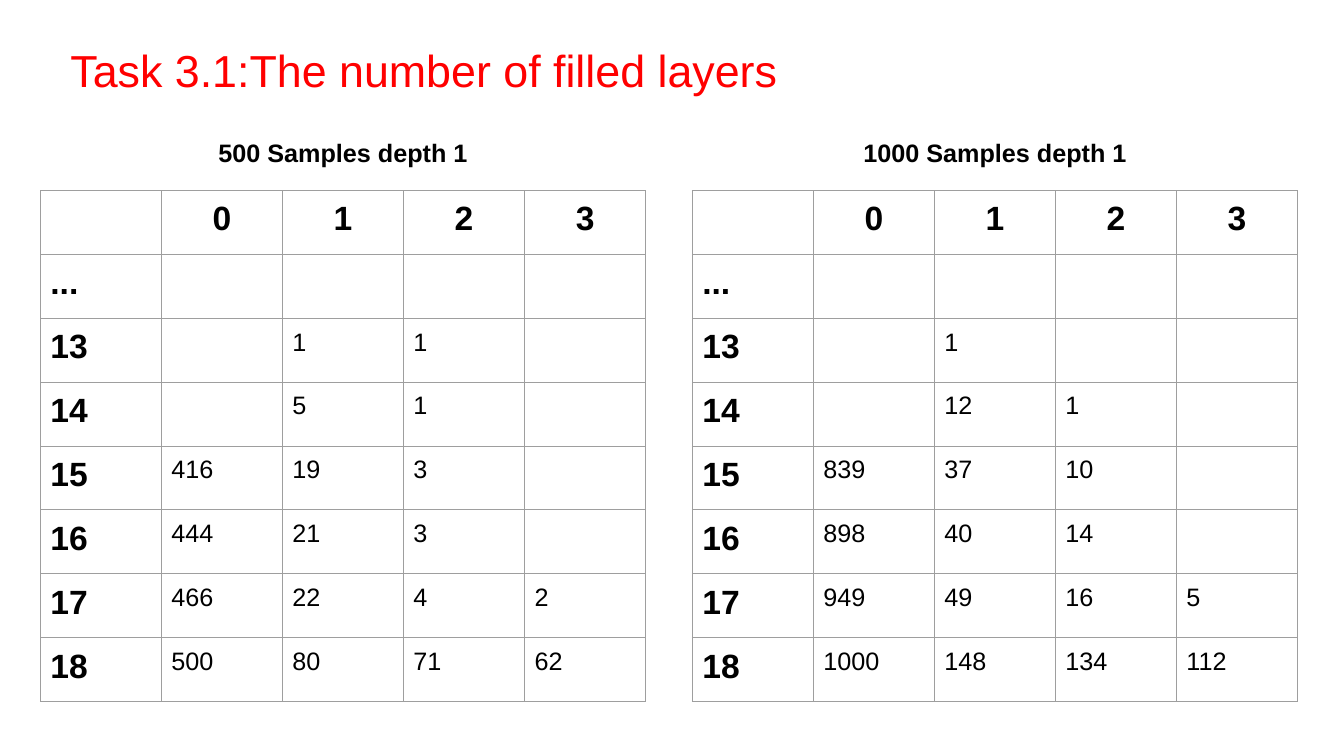
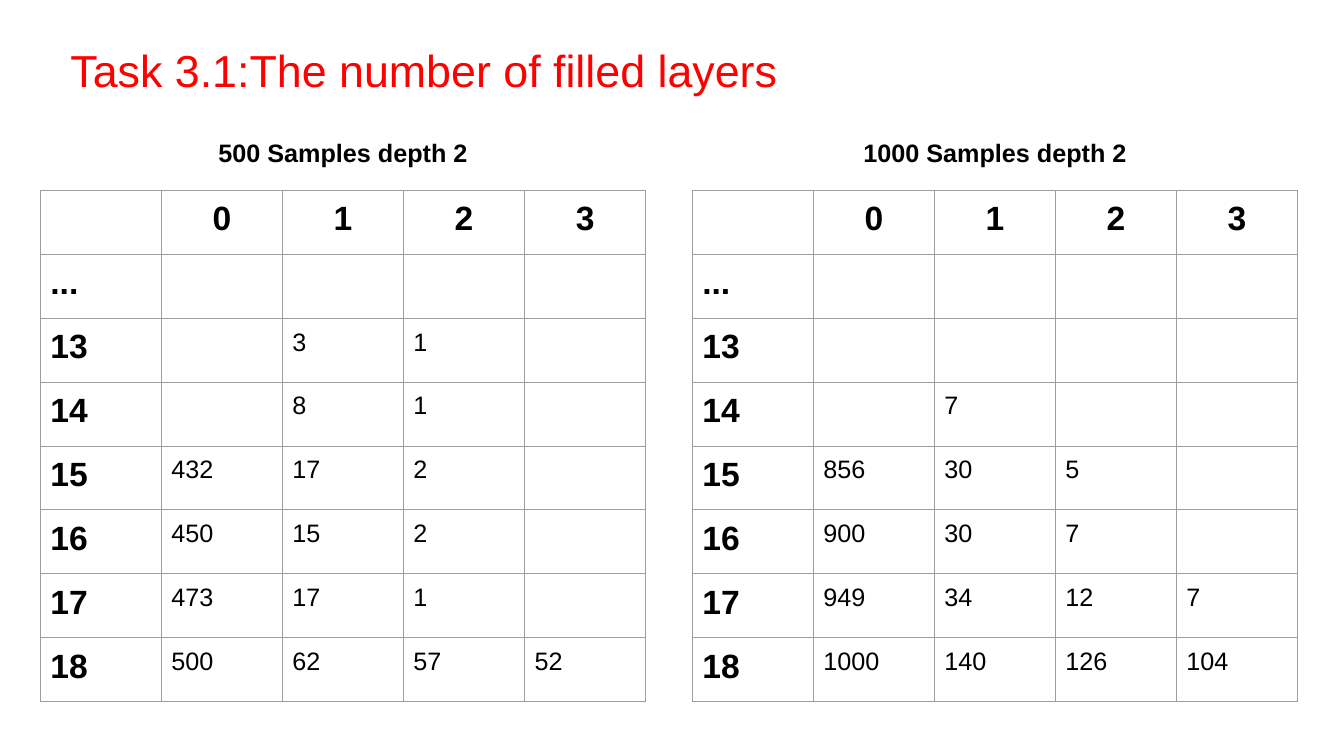
import lxml.etree
import pptx
import pptx.dml.color
import pptx.enum.text
import pptx.oxml.ns
import pptx.util

Cm = pptx.util.Cm
Pt = pptx.util.Pt
RGBColor = pptx.dml.color.RGBColor
ALIGN = pptx.enum.text.PP_ALIGN
ANCHOR = pptx.enum.text.MSO_ANCHOR
qn = pptx.oxml.ns.qn

RED = RGBColor(0xFF, 0x00, 0x00)
BLACK = RGBColor(0x00, 0x00, 0x00)
GREY = RGBColor(0x9E, 0x9E, 0x9E)

TITLE = "Task 3.1:The number of filled layers"
COLUMN_HEADS = ["", "0", "1", "2", "3"]
ROW_HEADS = ["...", "13", "14", "15", "16", "17", "18"]
TABLE_LEFTS = [Cm(1.02), Cm(17.45)]

# Filled layers per depth: (samples, one list of values per row head)
DEPTHS = {
    1: [
        (500, [[], ["", 1, 1], ["", 5, 1], [416, 19, 3], [444, 21, 3],
               [466, 22, 4, 2], [500, 80, 71, 62]]),
        (1000, [[], ["", 1], ["", 12, 1], [839, 37, 10], [898, 40, 14],
                [949, 49, 16, 5], [1000, 148, 134, 112]]),
    ],
    2: [
        (500, [[], ["", 3, 1], ["", 8, 1], [432, 17, 2], [450, 15, 2],
               [473, 17, 1], [500, 62, 57, 52]]),
        (1000, [[], [], ["", 7], [856, 30, 5], [900, 30, 7],
                [949, 34, 12, 7], [1000, 140, 126, 104]]),
    ],
}


class SlideBuilder:
    font = "Arial"
    padding = Cm(0.25)
    column_width = Cm(3.05)
    row_height = Cm(1.61)
    table_top = Cm(4.8)
    caption_top = Cm(3.2)
    caption_height = Cm(1.27)

    def __init__(self, deck):
        self.deck = deck
        self.slide = None

    def new_slide(self, title):
        self.slide = self.deck.slides.add_slide(self.deck.slide_layouts[5])
        box = self.slide.shapes.title
        box.left, box.top, box.width, box.height = Cm(1.52), Cm(0.84), Cm(31.42), Cm(2.54)
        frame = box.text_frame
        self.set_text(frame, title, 32, color=RED)
        frame.vertical_anchor = ANCHOR.MIDDLE
        frame.auto_size = pptx.enum.text.MSO_AUTO_SIZE.NONE
        # The deeper bottom margin lifts the title above the middle of its box
        frame.margin_top, frame.margin_bottom = Cm(0.13), Cm(0.86)

    def set_text(self, frame, text, size, color=BLACK, bold=False, align=ALIGN.LEFT):
        frame.text = text
        para = frame.paragraphs[0]
        para.alignment = align
        for span in para.runs:
            span.font.name = self.font
            span.font.size = Pt(size)
            span.font.bold = bold
            span.font.color.rgb = color

    def pad(self, holder):
        holder.margin_left = holder.margin_right = self.padding
        holder.margin_top = holder.margin_bottom = self.padding

    def caption(self, text, left):
        width = self.column_width * len(COLUMN_HEADS)
        box = self.slide.shapes.add_textbox(left, self.caption_top, width, self.caption_height)
        box.text_frame.word_wrap = True
        self.pad(box.text_frame)
        self.set_text(box.text_frame, text, 18, bold=True, align=ALIGN.CENTER)

    def border(self, cell):
        properties = cell._tc.get_or_add_tcPr()
        for side in ("a:lnL", "a:lnR", "a:lnT", "a:lnB"):
            line = lxml.etree.SubElement(properties, qn(side), w=str(Pt(0.75)))
            fill = lxml.etree.SubElement(line, qn("a:solidFill"))
            lxml.etree.SubElement(fill, qn("a:srgbClr"), val=str(GREY))

    def table(self, rows, left):
        row_count, column_count = len(rows), len(rows[0])
        table = self.slide.shapes.add_table(
            row_count, column_count, left, self.table_top,
            self.column_width * column_count, self.row_height * row_count).table
        table.first_row = table.horz_banding = False
        for column in table.columns:
            column.width = self.column_width
        for row in table.rows:
            row.height = self.row_height
        for r, values in enumerate(rows):
            for c, value in enumerate(values):
                cell = table.cell(r, c)
                is_head = r == 0 or c == 0
                self.pad(cell)
                self.border(cell)
                cell.fill.background()
                self.set_text(cell.text_frame, str(value), 24 if is_head else 18, bold=is_head,
                              align=ALIGN.CENTER if r == 0 else ALIGN.LEFT)


def table_rows(values):
    """Add the heads and fill short rows with empty cells."""
    rows = [COLUMN_HEADS]
    for head, numbers in zip(ROW_HEADS, values):
        row = [head, *numbers]
        rows.append(row + [""] * (len(COLUMN_HEADS) - len(row)))
    return rows


def main():
    deck = pptx.Presentation()
    deck.slide_width, deck.slide_height = Cm(33.87), Cm(19.05)
    builder = SlideBuilder(deck)

    # One slide per depth, one table per sample count
    for depth, results in DEPTHS.items():
        builder.new_slide(TITLE)
        for left, (samples, values) in zip(TABLE_LEFTS, results):
            builder.table(table_rows(values), left)
            builder.caption(f"{samples} Samples depth {depth}", left)

    deck.save("out.pptx")


if __name__ == "__main__":
    main()
